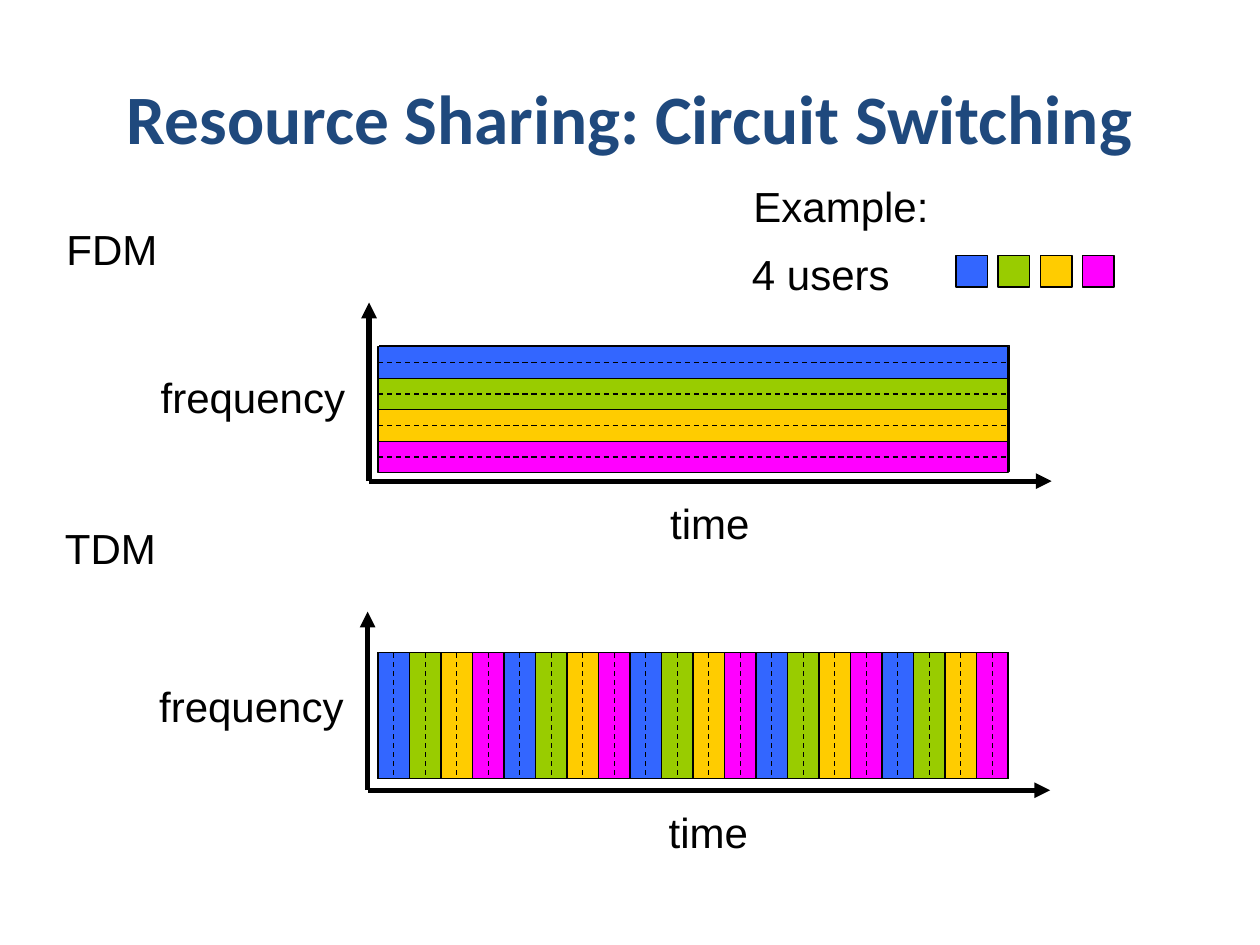
from lxml.etree import SubElement
from pptx import Presentation
from pptx.dml.color import RGBColor
from pptx.enum.dml import MSO_LINE_DASH_STYLE as Dash
from pptx.enum.shapes import MSO_CONNECTOR as Connector, MSO_SHAPE as Shape
from pptx.enum.text import MSO_ANCHOR as Anchor, MSO_AUTO_SIZE as AutoSize, PP_ALIGN as Align
from pptx.oxml.ns import qn
from pptx.util import Cm, Pt

BLACK = "000000"
USER_COLOURS = ["3366FF", "99CC00", "FFCC00", "FF00FF"]
BANDS_LEFT, BANDS_WIDTH, BANDS_HEIGHT = 7.62, 12.7, 2.54
TIME_SLOTS = 20


def colour(value):
    return RGBColor.from_string(value)


def add_text(page, text, left, top, width, height=1.27, size=24, font="Arial", fill=BLACK):
    box = page.shapes.add_textbox(Cm(left), Cm(top), Cm(width), Cm(height))
    box.text_frame.word_wrap = False
    box.text_frame.auto_size = AutoSize.SHAPE_TO_FIT_TEXT
    span = box.text_frame.paragraphs[0].add_run()
    span.text = text
    span.font.name = font
    span.font.size = Pt(size)
    span.font.color.rgb = colour(fill)
    return box


def add_title(page, text):
    box = add_text(page, text, 1.27, 0.76, 22.86, 3.18, 39.6, "Calibri", "1F497D")
    frame = box.text_frame
    frame.auto_size = AutoSize.NONE
    frame.word_wrap = True
    frame.vertical_anchor = Anchor.MIDDLE
    para = frame.paragraphs[0]
    para.alignment = Align.CENTER
    para.runs[0].font.bold = True


def add_block(page, left, top, width, height, fill):
    block = page.shapes.add_shape(Shape.RECTANGLE, Cm(left), Cm(top), Cm(width), Cm(height))
    block.shadow.inherit = False
    block.fill.solid()
    block.fill.fore_color.rgb = colour(fill)
    block.line.color.rgb = colour(BLACK)
    block.line.width = Pt(0.75)


def add_line(page, x1, y1, x2, y2, weight=0.75, dashed=False, arrow=False):
    line = page.shapes.add_connector(Connector.STRAIGHT, Cm(x1), Cm(y1), Cm(x2), Cm(y2))
    line.line.color.rgb = colour(BLACK)
    line.line.width = Pt(weight)
    if dashed:
        line.line.dash_style = Dash.DASH
    if arrow:
        SubElement(line.line._get_or_add_ln(), qn("a:tailEnd"), type="triangle")
    SubElement(line._element.spPr, qn("a:effectLst"))


def add_axes(page, x, y):
    """Draw labelled frequency and time axes from the origin (x, y)."""
    add_line(page, x, y, x, y - 3.6, weight=3, arrow=True)
    add_text(page, "frequency", x - 4.45, y - 2.33, 4.24)
    add_line(page, x, y, x + 13.76, y, weight=3, arrow=True)
    add_text(page, "time", x + 5.82, y + 0.21, 2.11)


def add_frequency_bands(page, top):
    right = BANDS_LEFT + BANDS_WIDTH
    step = BANDS_HEIGHT / len(USER_COLOURS)
    add_block(page, BANDS_LEFT + 0.03, top - 0.03, BANDS_WIDTH, BANDS_HEIGHT, "4F81BD")
    for index, fill in enumerate(USER_COLOURS):
        add_block(page, BANDS_LEFT, top + index * step, BANDS_WIDTH, step, fill)
    for index in range(len(USER_COLOURS)):
        y = top + index * step
        if index:
            add_line(page, BANDS_LEFT, y, right, y)
        add_line(page, BANDS_LEFT, y + step / 2, right, y + step / 2, dashed=True)


def add_time_slots(page, top):
    bottom = top + BANDS_HEIGHT
    step = BANDS_WIDTH / TIME_SLOTS
    add_block(page, BANDS_LEFT, top, BANDS_WIDTH, BANDS_HEIGHT, "4F81BD")
    for index in range(TIME_SLOTS):
        fill = USER_COLOURS[index % len(USER_COLOURS)]
        add_block(page, BANDS_LEFT + index * step, top, step, BANDS_HEIGHT, fill)
    for index in range(TIME_SLOTS):
        x = BANDS_LEFT + index * step
        if index:
            add_line(page, x, top, x, bottom)
        add_line(page, x + step / 2, top, x + step / 2, bottom, dashed=True)


def add_legend(page):
    add_text(page, "Example:", 14.94, 3.51, 4.04)
    add_text(page, "4 users", 14.91, 4.88, 3.3)
    for index, fill in enumerate(USER_COLOURS):
        add_block(page, 19.27 + index * 0.85, 5.15, 0.64, 0.64, fill)


def main():
    deck = Presentation()
    deck.slide_width, deck.slide_height = Cm(25.4), Cm(19.05)
    page = deck.slides.add_slide(deck.slide_layouts[6])
    add_title(page, "Resource Sharing: Circuit Switching")
    add_text(page, "FDM", 1.09, 4.39, 2.34)
    add_axes(page, 7.44, 9.7)
    add_frequency_bands(page, 6.99)
    add_text(page, "TDM", 1.06, 10.41, 2.34)
    add_axes(page, 7.41, 15.93)
    add_time_slots(page, 13.16)
    add_legend(page)
    deck.save("out.pptx")


if __name__ == "__main__":
    main()
